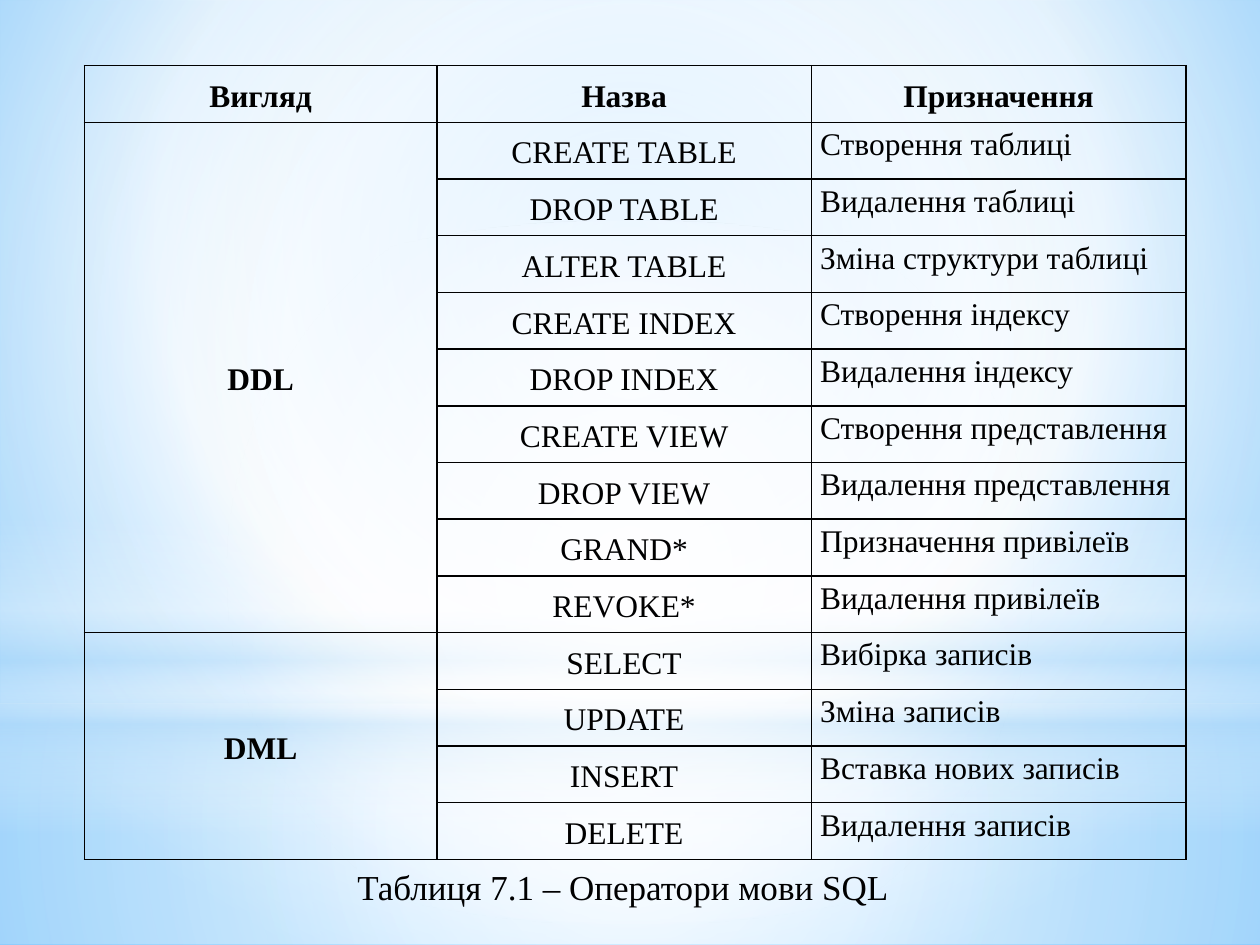
from dataclasses import dataclass

from lxml.etree import SubElement
from pptx import Presentation
from pptx.dml.color import RGBColor
from pptx.enum.shapes import MSO_SHAPE
from pptx.enum.text import MSO_ANCHOR, MSO_AUTO_SIZE, PP_ALIGN
from pptx.oxml.ns import qn
from pptx.util import Pt


@dataclass(frozen=True)
class Theme:
    font: str = "Times New Roman"
    ink: str = "000000"
    white: str = "FFFFFF"
    haze: str = "B4DCFA"
    sky: str = "9ED5FF"
    deep: str = "5BB9FF"
    cell_size: int = 18
    caption_size: int = 20
    border: int = 1


THEME = Theme()
HEADER = ("Вигляд", "Назва", "Призначення")
GROUPS = {
    "DDL": [
        ("CREATE TABLE", "Створення таблиці"),
        ("DROP TABLE", "Видалення таблиці"),
        ("ALTER TABLE", "Зміна структури таблиці"),
        ("CREATE INDEX", "Створення індексу"),
        ("DROP INDEX", "Видалення індексу"),
        ("CREATE VIEW", "Створення представлення"),
        ("DROP VIEW", "Видалення представлення"),
        ("GRAND*", "Призначення привілеїв"),
        ("REVOKE*", "Видалення привілеїв"),
    ],
    "DML": [
        ("SELECT", "Вибірка записів"),
        ("UPDATE", "Зміна записів"),
        ("INSERT", "Вставка нових записів"),
        ("DELETE", "Видалення записів"),
    ],
}


def set_gradient(fill, owner, stops, centre=None):
    """Stops are (position %, colour, opacity %); centre gives a radial fill."""
    fill.solid()
    solid = owner.find(qn("a:solidFill"))
    grad = owner.makeelement(qn("a:gradFill"), {"rotWithShape": "1"})
    stop_list = SubElement(grad, qn("a:gsLst"))
    for pos, colour, opacity in stops:
        gs = SubElement(stop_list, qn("a:gs"), pos=str(pos * 1000))
        clr = SubElement(gs, qn("a:srgbClr"), val=colour)
        if opacity < 100:
            SubElement(clr, qn("a:alpha"), val=str(opacity * 1000))
    if centre:
        radial = SubElement(grad, qn("a:path"), {"path": "circle"})
        sides = {k: str(v * 1000) for k, v in zip("ltrb", centre)}
        SubElement(radial, qn("a:fillToRect"), sides)
    else:
        SubElement(grad, qn("a:lin"), ang=str(90 * 60000), scaled="0")
    owner.replace(solid, grad)


def format_text(p, size, align, bold=False):
    p.alignment = align
    for r in p.runs:
        r.font.name = THEME.font
        r.font.size = Pt(size)
        r.font.bold = bold
        r.font.color.rgb = RGBColor.from_string(THEME.ink)


def add_backdrop(slide, width):
    # Sky gradient
    fill = slide.background.fill
    fill.solid()
    bg = slide.element.find(".//" + qn("p:bgPr"))
    set_gradient(fill, bg, [(0, THEME.sky, 100), (60, THEME.white, 100),
                            (100, THEME.deep, 100)], (20, 10, 20, 60))

    # Translucent layers: shape, top, height, stops, centre
    white, haze, middle = THEME.white, THEME.haze, (50, 50, 50, 50)
    layers = [
        (MSO_SHAPE.RECTANGLE, 402, 138,
         [(0, white, 91), (37, white, 76), (100, haze, 79)], middle),
        (MSO_SHAPE.RECTANGLE, 0, 402,
         [(0, white, 89), (48, white, 62), (100, haze, 79)], middle),
        (MSO_SHAPE.RECTANGLE, 296.5, 180,
         [(0, white, 0), (29, white, 30), (45, haze, 40),
          (55, white, 26), (65, haze, 60), (100, white, 0)], None),
        (MSO_SHAPE.OVAL, 126, 402,
         [(0, white, 100), (56, white, 0)], middle),
    ]
    for kind, top, height, stops, centre in layers:
        sp = slide.shapes.add_shape(kind, 0, Pt(top), Pt(width), Pt(height))
        sp.shadow.inherit = False
        sp.line.fill.background()
        set_gradient(sp.fill, sp.element.spPr, stops, centre)


def set_borders(cell):
    tc_pr = cell._tc.get_or_add_tcPr()
    for i, side in enumerate(("lnL", "lnR", "lnT", "lnB")):
        ln = tc_pr.makeelement(qn("a:" + side), {"w": str(Pt(THEME.border))})
        solid = SubElement(ln, qn("a:solidFill"))
        SubElement(solid, qn("a:srgbClr"), val=THEME.ink)
        tc_pr.insert(i, ln)


def fill_cell(cell, text, bold, centred):
    cell.fill.background()
    set_borders(cell)
    cell.margin_left = cell.margin_right = Pt(5)
    cell.margin_top = cell.margin_bottom = 0
    cell.vertical_anchor = MSO_ANCHOR.MIDDLE if centred else MSO_ANCHOR.TOP
    p = cell.text_frame.paragraphs[0]
    p.text = text
    p.line_spacing = 1.15
    align = PP_ALIGN.CENTER if centred else PP_ALIGN.JUSTIFY
    format_text(p, THEME.cell_size, align, bold)


def add_operator_table(slide, left, top, width, height):
    rows = [HEADER]
    for group, operators in GROUPS.items():
        for i, operator in enumerate(operators):
            rows.append(("" if i else group, *operator))

    frame = slide.shapes.add_table(len(rows), len(HEADER), Pt(left), Pt(top),
                                   Pt(width), Pt(height))
    table = frame.table
    table.first_row = table.horz_banding = False
    for col, share in zip(table.columns, (0.32, 0.34, 0.34)):
        col.width = Pt(width * share)
    for r, row in enumerate(rows):
        table.rows[r].height = Pt(height / len(rows))
        for c, text in enumerate(row):
            fill_cell(table.cell(r, c), text, bold=r == 0 or c == 0,
                      centred=r == 0 or c < 2)

    # One merged cell per operator group
    start = 1
    for operators in GROUPS.values():
        end = start + len(operators) - 1
        table.cell(start, 0).merge(table.cell(end, 0))
        start = end + 1


def add_caption(slide, text, left, top, width, height):
    box = slide.shapes.add_textbox(Pt(left), Pt(top), Pt(width), Pt(height))
    tf = box.text_frame
    tf.text = text
    tf.word_wrap = False
    tf.auto_size = MSO_AUTO_SIZE.SHAPE_TO_FIT_TEXT
    tf.vertical_anchor = MSO_ANCHOR.MIDDLE
    format_text(tf.paragraphs[0], THEME.caption_size, PP_ALIGN.CENTER)


prs = Presentation()
prs.slide_width, prs.slide_height = Pt(720), Pt(540)
slide = prs.slides.add_slide(prs.slide_layouts[6])
add_backdrop(slide, 720)
add_operator_table(slide, 48.2, 37.5, 629.5, 453.6)
add_caption(slide, "Таблиця 7.1 – Оператори мови SQL", 195.5, 491, 321, 31.5)
prs.save("out.pptx")
